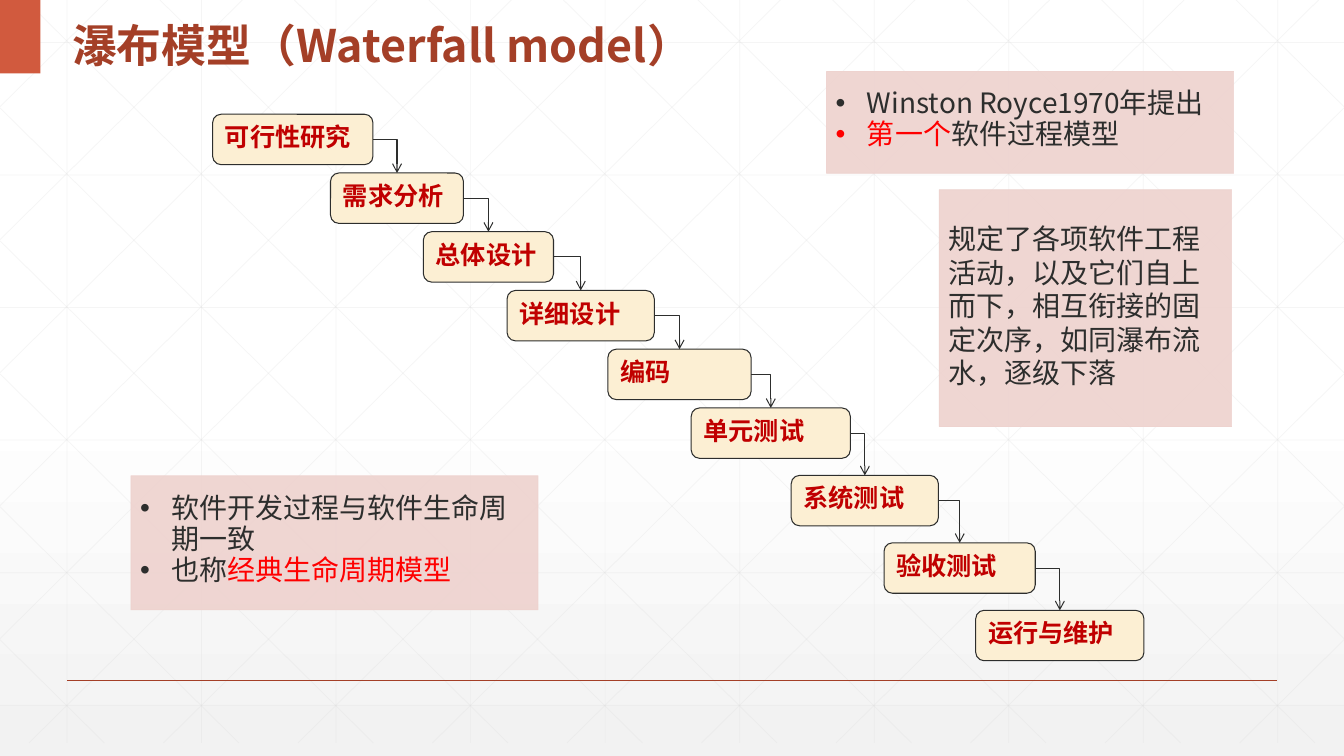
from dataclasses import dataclass

from lxml import etree
from pptx import Presentation
from pptx.dml.color import RGBColor
from pptx.enum import shapes, text
from pptx.oxml import ns
from pptx.util import Cm, Pt


@dataclass(frozen=True)
class Theme:
    ink: str = "2D2E2D"
    red: str = "FF0000"
    step_red: str = "C00000"
    brick: str = "A43F27"
    corner: str = "D15A3E"
    cream: str = "FCEFD3"
    pink: str = "EED2CE"
    grid: str = "D9D9D9"
    sans: str = "Noto Sans CJK SC"
    serif: str = "Times New Roman"
    title_size: int = 32
    panel_size: int = 20
    step_size: int = 18


THEME = Theme()
TITLE = "瀑布模型（Waterfall model）"

# Text, left and width in cm
STEPS = [
    ("可行性研究", 5.36, 4.04),
    ("需求分析", 8.33, 3.35),
    ("总体设计", 10.67, 3.28),
    ("详细设计", 12.78, 3.71),
    ("编码", 15.32, 3.61),
    ("单元测试", 17.42, 4.01),
    ("系统测试", 19.94, 3.71),
    ("验收测试", 22.28, 3.81),
    ("运行与维护", 24.59, 4.24),
]
STEP_HEIGHT = 1.27
FIRST_TOP, PITCH, WIDE_PITCH, LAST_CLOSE = 2.88, 1.48, 1.7, 5

# Frame in cm, bulleted or not, line spacing, paragraphs of (text, colour) runs
PANELS = [
    ((20.83, 1.8, 10.26, 2.57), True, 0.91, [
        [("Winston Royce1970年提出", THEME.ink)],
        [("第一个", THEME.red), ("软件过程模型", THEME.ink)],
    ]),
    ((23.67, 4.78, 7.37, 5.97), False, 1.0, [
        [("规定了各项软件工程活动，以及它们自上而下，相互衔接的固定次序，"
          "如同瀑布流水，逐级下落", THEME.ink)],
    ]),
    ((3.3, 11.99, 10.26, 3.38), True, 0.91, [
        [("软件开发过程与软件生命周期一致", THEME.ink)],
        [("也称", THEME.ink), ("经典生命周期模型", THEME.red)],
    ]),
]

WIDTH, HEIGHT = 33.87, 19.05
GRID_BOTTOM = 18.72
COLUMN_LEFT, COLUMN_GAP, COLUMNS = 1.69, 3.39, 10
ROW_TOP, ROW_GAP, ROWS = 1.07, 3.34, 6
DIAGONAL_LEFT, DIAGONAL_RUN = 0.64, 18.94


def add_element(parent, tag, **attributes):
    return etree.SubElement(parent, ns.qn(tag), attributes)


def set_alpha(paint, percent):
    """Make the solid colour of a fill or line partly transparent."""
    for color in paint.iter(ns.qn("a:srgbClr")):
        add_element(color, "a:alpha", val=str(percent * 1000))


def add_line(page, kind, start, end, color, weight):
    line = page.shapes.add_connector(kind, *(Cm(v) for v in (*start, *end)))
    line.line.color.rgb = RGBColor.from_string(color)
    line.line.width = Pt(weight)
    add_element(line._element.spPr, "a:effectLst")
    return line


def add_box(page, preset, frame, fill, outline=None, weight=0.75):
    box = page.shapes.add_shape(preset, *(Cm(v) for v in frame))
    box.shadow.inherit = False
    box.fill.solid()
    box.fill.fore_color.rgb = RGBColor.from_string(fill)
    if outline:
        box.line.color.rgb = RGBColor.from_string(outline)
        box.line.width = Pt(weight)
    else:
        box.line.fill.background()
    return box


def add_span(para, words, size, color, font, bold=False):
    span = para.add_run()
    span.text = words
    span.font.size = Pt(size)
    span.font.bold = bold
    span.font.color.rgb = RGBColor.from_string(color)
    span.font.name = font
    add_element(span._r.get_or_add_rPr(), "a:ea", typeface=THEME.sans)


def paint_background(page):
    fill = page.background.fill
    fill.gradient()
    fill.gradient_angle = 270
    stops = next(page.background._cSld.iter(ns.qn("a:gsLst")))
    for stop in list(stops):
        stops.remove(stop)
    for position, color, alpha in ((0, "FFFFFF", 100), (53, "FFFFFF", 100),
                                   (100, "F2F2F2", 65)):
        stop = add_element(stops, "a:gs", pos=str(position * 1000))
        add_element(stop, "a:srgbClr", val=color)
        set_alpha(stop, alpha)


def grid_lines():
    for i in range(COLUMNS):
        x = COLUMN_LEFT + COLUMN_GAP * i
        yield (x, 0), (x, GRID_BOTTOM)
    for i in range(ROWS):
        y = ROW_TOP + ROW_GAP * i
        yield (0, y), (WIDTH, y)
    for i in range(-5, COLUMNS):
        x = DIAGONAL_LEFT + COLUMN_GAP * i
        first, last = max(0, -x / DIAGONAL_RUN), min(1, (WIDTH - x) / DIAGONAL_RUN)
        ends = [(x + DIAGONAL_RUN * t, GRID_BOTTOM * t) for t in (first, last)]
        yield ends
        yield [(WIDTH - across, down) for across, down in ends]


def add_title(page):
    box = page.shapes.add_textbox(Cm(1.57), Cm(0), Cm(19.23), Cm(1.85))
    frame = box.text_frame
    frame.word_wrap = True
    frame.vertical_anchor = text.MSO_ANCHOR.MIDDLE
    para = frame.paragraphs[0]
    para.line_spacing = 1.3
    add_span(para, TITLE, THEME.title_size, THEME.brick, THEME.sans, bold=True)


def add_step(page, index, words, left, width):
    top = (FIRST_TOP + PITCH * min(index, LAST_CLOSE)
           + WIDE_PITCH * max(index - LAST_CLOSE, 0))
    box = add_box(page, shapes.MSO_SHAPE.ROUNDED_RECTANGLE,
                  (left, top, width, STEP_HEIGHT), THEME.cream, THEME.ink)
    box.text_frame.word_wrap = True
    box.text_frame.vertical_anchor = text.MSO_ANCHOR.TOP
    para = box.text_frame.paragraphs[0]
    para.alignment = text.PP_ALIGN.LEFT
    add_span(para, words, THEME.step_size, THEME.step_red, THEME.serif, bold=True)
    return box


def add_flow(page, upper, lower):
    """Lead from the right side of one step down to the top of the next."""
    arrow = add_line(page, shapes.MSO_CONNECTOR.ELBOW, (0, 0), (1, 1), THEME.ink, 0.75)
    arrow.begin_connect(upper, 3)
    arrow.end_connect(lower, 0)
    arrow._element.spPr.find(ns.qn("a:prstGeom")).set("prst", "bentConnector2")
    add_element(arrow.line._get_or_add_ln(), "a:tailEnd", type="arrow")


def add_panel(page, place, bulleted, spacing, paragraphs):
    box = add_box(page, shapes.MSO_SHAPE.RECTANGLE, place, THEME.pink, THEME.pink, 0.5)
    set_alpha(box._element.spPr, 90)
    frame = box.text_frame
    frame.word_wrap = True
    frame.vertical_anchor = text.MSO_ANCHOR.MIDDLE
    frame.margin_left = frame.margin_top = Cm(0.23)
    frame.margin_right, frame.margin_bottom = Cm(0.3), Cm(0.36)
    for index, runs in enumerate(paragraphs):
        para = frame.add_paragraph() if index else frame.paragraphs[0]
        para.alignment = text.PP_ALIGN.LEFT
        para.line_spacing = spacing
        if bulleted:
            properties = para._p.get_or_add_pPr()
            properties.set("marL", str(Cm(0.79)))
            properties.set("indent", str(-Cm(0.79)))
            add_element(properties, "a:buFont", typeface="Arial")
            add_element(properties, "a:buChar", char="•")
        for words, color in runs:
            add_span(para, words, THEME.panel_size, color, THEME.sans)


def main():
    deck = Presentation()
    deck.slide_width, deck.slide_height = Cm(WIDTH), Cm(HEIGHT)
    page = deck.slides.add_slide(deck.slide_layouts[6])
    paint_background(page)
    straight = shapes.MSO_CONNECTOR.STRAIGHT
    for start, end in grid_lines():
        line = add_line(page, straight, start, end, THEME.grid, 0.5)
        set_alpha(line._element.spPr, 25)
    add_line(page, straight, (1.69, 17.15), (32.18, 17.15), THEME.brick, 1)
    add_box(page, shapes.MSO_SHAPE.RECTANGLE, (0, 0, 1.02, 1.85), THEME.corner)
    add_title(page)
    steps = [add_step(page, index, *step) for index, step in enumerate(STEPS)]
    for upper, lower in zip(steps, steps[1:]):
        add_flow(page, upper, lower)
    for panel in PANELS:
        add_panel(page, *panel)
    deck.save("out.pptx")


if __name__ == "__main__":
    main()
